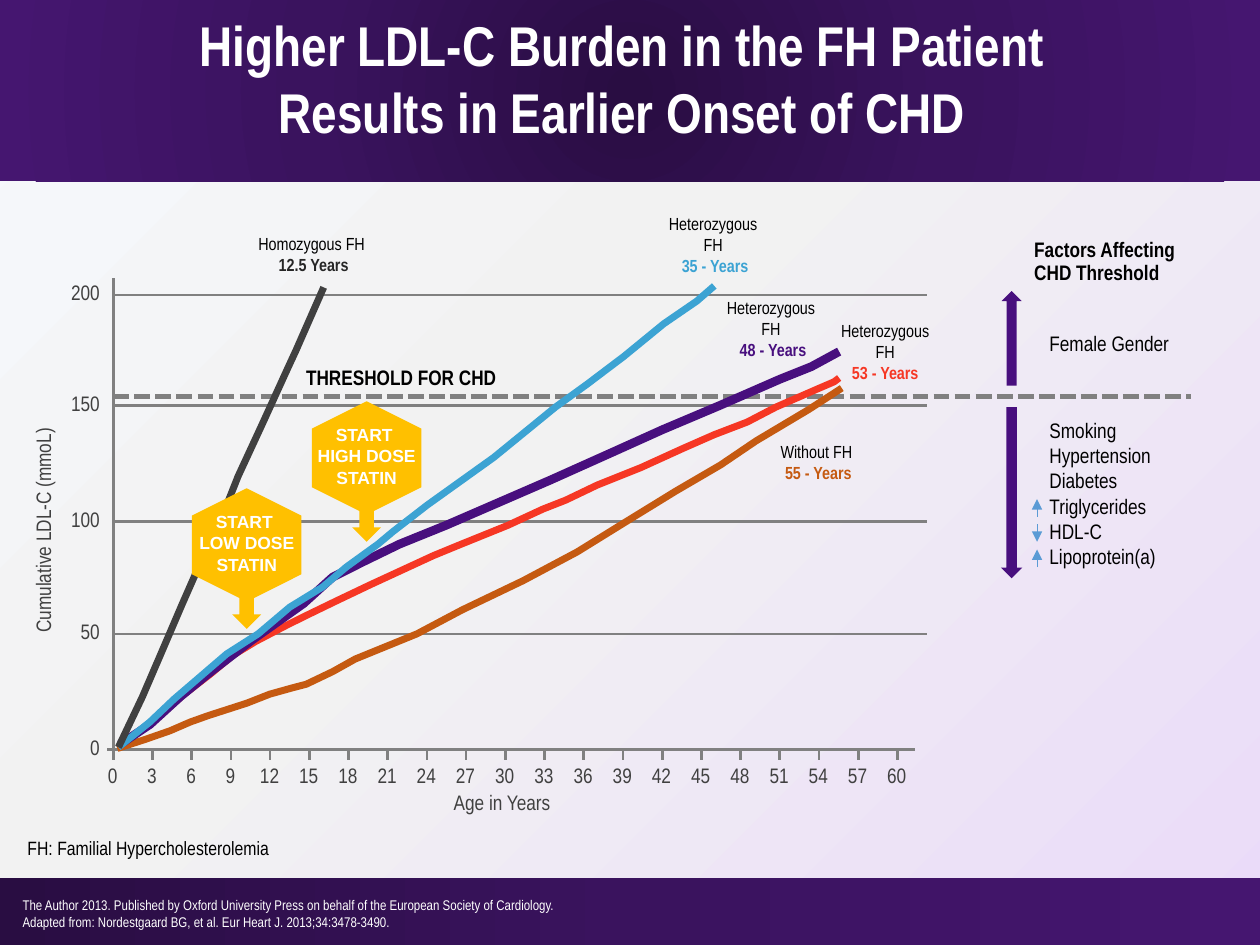
"""Build the slide on cumulative LDL-C burden and the onset of CHD."""
from dataclasses import dataclass
from typing import Any, Optional

from pptx import Presentation
from pptx.dml.color import RGBColor as RGB
from pptx.enum.dml import MSO_LINE as Dash
from pptx.enum.shapes import MSO_CONNECTOR as Link, MSO_SHAPE as Kind
from pptx.enum.text import MSO_ANCHOR as Anchor, PP_ALIGN as Align
from pptx.oxml import parse_xml
from pptx.oxml.ns import nsdecls, qn
from pptx.util import Pt

BLACK, WHITE = RGB(0x00, 0x00, 0x00), RGB(0xFF, 0xFF, 0xFF)
GRAY, DARK, COAL = RGB(0x80, 0x80, 0x80), RGB(0x40, 0x40, 0x40), RGB(0x26, 0x26, 0x26)
PURPLE, ORANGE, RED = RGB(0x48, 0x0F, 0x7E), RGB(0xC5, 0x5A, 0x11), RGB(0xF6, 0x37, 0x24)
BLUE, SKY, GOLD = RGB(0x3C, 0xA3, 0xD3), RGB(0x5B, 0x9B, 0xD5), RGB(0xFF, 0xC0, 0x00)
PALE = {0: RGB(0xF6, 0xF8, 0xFC), 43: RGB(0xF2, 0xF2, 0xF2), 100: RGB(0xEA, 0xDB, 0xF9)}
DEEP = {0: RGB(0x29, 0x0D, 0x42), 50: RGB(0x3A, 0x13, 0x5E), 100: RGB(0x45, 0x16, 0x70)}
ACROSS = '<a:lin {} ang="0" scaled="0"/>'
SLANT = '<a:lin {} ang="2700000" scaled="0"/>'
ROUND = '<a:path {} path="circle"><a:fillToRect l="50000" t="50000" r="50000" b="50000"/></a:path>'

WIDE, HIGH = 720, 540
AXIS_X, AXIS_Y, AGE_STEP, TICK = 64.8, 428.4, 22.4, 5.8
LEVELS = {200: 168.5, 150: 231.8, 100: 298.1, 50: 362.2, 0: AXIS_Y}
LIMIT_Y, LINE_H = 226.4, 21.6
SIDE_X, ARROW_X = 592.6, 578.1
RISKS = ["Smoking", "Hypertension", "Diabetes", "Triglycerides", "HDL-C", "Lipoprotein(a)"]
TRENDS = {"Triglycerides": -1, "HDL-C": 1, "Lipoprotein(a)": -1}


@dataclass
class Bit:
    text: str
    color: RGB = BLACK
    bold: bool = False


@dataclass
class Note:
    x: float
    y: float
    w: float
    h: float
    rows: list[list[Bit]]
    size: float = 12
    align: Any = Align.LEFT
    font: str = "Arial Narrow"
    turn: float = 0
    anchor: Any = Anchor.TOP
    space: Optional[float] = None
    wrap: bool = True


@dataclass
class Rule:
    x1: float
    y1: float
    x2: float
    y2: float
    color: RGB = GRAY
    width: float = 1.5
    dash: Any = None
    head: bool = False


@dataclass
class Block:
    kind: Any
    x: float
    y: float
    w: float
    h: float
    color: RGB = PURPLE
    turn: float = 0


@dataclass
class Onset:
    mid: float
    y: float
    name: str
    age: str
    color: RGB


@dataclass
class Dose:
    mid: float
    y: float
    text: str


ONSETS = [Onset(179.2, 129.6, "Homozygous FH \n", "12.5 Years", COAL),
          Onset(467.6, 248.4, "Without FH \n", "55 - Years", ORANGE),
          Onset(408.6, 118.1, "Heterozygous \nFH \n", "35 - Years", BLUE),
          Onset(441.7, 166.3, "Heterozygous \nFH \n", "48 - Years", PURPLE),
          Onset(505.8, 179.3, "Heterozygous\n FH \n", "53 - Years", RED)]
DOSES = [Dose(141, 280.1, "START \nLOW DOSE STATIN"), Dose(209.5, 230.4, "START \nHIGH DOSE STATIN")]
CURVES = {
    ORANGE: [(67, 427.7), (82.8, 422.6), (97.2, 417.6), (108.7, 412.6), (118.8, 409), (141.1, 401.8),
             (154.1, 396.7), (167, 393.1), (175, 391), (190.1, 383.8), (203, 376.6), (238.3, 362.2),
             (264.2, 348.5), (298.8, 331.9), (329.8, 315.4), (357.8, 298.1), (385.9, 280.8), (411.8, 265.7),
             (432, 252), (462.2, 234), (481, 221.8)],
    RED: [(68.4, 426.2), (86.4, 413.3), (104.4, 397.4), (120.2, 385.2), (133.2, 374.4), (146.2, 366.5),
          (164.2, 357.1), (175.7, 351.4), (192.2, 343.4), (211.7, 334.1), (247.7, 317.5), (263.5, 311),
          (290.2, 300.2), (310.3, 290.9), (323.3, 285.8), (341.3, 277.2), (366.5, 267.1), (390.2, 256.3),
          (408.2, 248.4), (427, 241.2), (443.5, 232.6), (466.6, 222.5), (476.6, 218.2), (479.5, 216)],
    PURPLE: [(68.4, 425.5), (85.7, 414), (103, 398.2), (118.8, 385.2), (144, 365.8), (173.5, 344.9),
             (190.1, 329.8), (207.4, 321.1), (228.2, 311), (254.9, 300.2), (314.6, 274.3), (349.9, 258.5),
             (378.7, 245.5), (411.1, 231.8), (445.7, 216.7), (463.7, 209.5), (479.5, 200.9)],
    BLUE: [(67.7, 427), (85.7, 412.6), (99.4, 399.6), (129.6, 373.7), (147.6, 362.2), (165.6, 347),
           (184.3, 335.5), (198, 324), (216, 311), (224.6, 303.8), (244.1, 288.7), (282.2, 261.4),
           (317.5, 232.6), (335.5, 219.6), (356.4, 203.8), (379.4, 185), (398.2, 172.1), (408.2, 163.4)],
    DARK: [(67.7, 427), (81.4, 398.2), (90.7, 376.6), (103.7, 346.3), (113.8, 323.3), (126.7, 295.9),
           (136.1, 272.2), (149.8, 242.6), (164.2, 211), (169.2, 200.2), (185, 164.2)],
}
NOTES = [
    Note(-1.4, 0, 721.4, 88.6, [[Bit("Higher LDL-C Burden in the FH Patient ", WHITE, True)],
                                [Bit("Results in Earlier Onset of CHD ", WHITE, True)]],
         32, Align.CENTER, anchor=Anchor.MIDDLE),
    Note(5.8, 508.9, 636.5, 26.5, [
        [Bit("The Author 2013. Published by Oxford University Press on behalf of the European Society of Cardiology.", WHITE)],
        [Bit("Adapted from: Nordestgaard BG, et al. Eur Heart J. 2013;34:3478-3490.", WHITE)]], 8),
    Note(213.8, 447.8, 146.2, LINE_H, [[Bit("Age in Years", DARK)]], align=Align.CENTER),
    Note(-65.5, 292.3, 180, LINE_H, [[Bit("Cumulative LDL-C (mmoL)", DARK)]], align=Align.CENTER, turn=270),
    Note(167.8, 204.8, 154, LINE_H, [[Bit("THRESHOLD FOR CHD", bold=True)]]),
    Note(SIDE_X, 185.3, 125, LINE_H, [[Bit("Female Gender")]]),
    Note(SIDE_X, 235, 125, 109.4, [[Bit(risk)] for risk in RISKS]),
    Note(583.9, 132.8, 98.6, 34.6, [[Bit("Factors Affecting", bold=True)], [Bit("CHD Threshold", bold=True)]],
         space=0.93, wrap=False),
    Note(8.6, 474.5, 566, 20.9, [[Bit("FH: Familial Hypercholesterolemia")]], 11),
]


def shade(fill: Any, owner: Any, stops: dict[int, RGB], flow: str) -> None:
    fill.gradient()
    grad = next(owner.iter(qn("a:gradFill")))
    for part in list(grad):
        grad.remove(part)
    marks = "".join(f'<a:gs pos="{at * 1000}"><a:srgbClr val="{hue}"/></a:gs>' for at, hue in stops.items())
    grad.append(parse_xml(f'<a:gsLst {nsdecls("a")}>{marks}</a:gsLst>'))
    grad.append(parse_xml(flow.format(nsdecls("a"))))


def write(slide: Any, note: Note) -> None:
    box = slide.shapes.add_textbox(Pt(note.x), Pt(note.y), Pt(note.w), Pt(note.h))
    box.rotation = note.turn
    frame = box.text_frame
    frame.word_wrap, frame.vertical_anchor = note.wrap, note.anchor
    for i, row in enumerate(note.rows):
        para = frame.add_paragraph() if i else frame.paragraphs[0]
        para.alignment, para.line_spacing = note.align, note.space
        for bit in row:
            for j, line in enumerate(bit.text.split("\n")):
                if j:
                    para.add_line_break()
                if line:
                    run = para.add_run()
                    run.text = line
                    run.font.name, run.font.size, run.font.bold = note.font, Pt(note.size), bit.bold
                    run.font.color.rgb = bit.color


def draw(slide: Any, rule: Rule) -> None:
    link = slide.shapes.add_connector(Link.STRAIGHT, Pt(rule.x1), Pt(rule.y1), Pt(rule.x2), Pt(rule.y2))
    link.line.color.rgb, link.line.width, link.line.dash_style = rule.color, Pt(rule.width), rule.dash
    props = link.element.spPr
    if rule.head:
        props.find(qn("a:ln")).append(parse_xml(f'<a:tailEnd {nsdecls("a")} type="triangle"/>'))
    props.append(parse_xml(f'<a:effectLst {nsdecls("a")}/>'))


def place(slide: Any, block: Block) -> Any:
    shape = slide.shapes.add_shape(block.kind, Pt(block.x), Pt(block.y), Pt(block.w), Pt(block.h))
    shape.shadow.inherit, shape.rotation = False, block.turn
    shape.line.fill.background()
    shape.fill.solid()
    shape.fill.fore_color.rgb = block.color
    return shape


def trace(slide: Any, color: RGB, dots: list[tuple[float, float]]) -> None:
    first, *rest = [(Pt(x), Pt(y)) for x, y in dots]
    pen = slide.shapes.build_freeform(*first)
    pen.add_line_segments(rest, close=False)
    shape = pen.convert_to_shape()
    shape.shadow.inherit = False
    shape.fill.background()
    shape.line.color.rgb, shape.line.width = color, Pt(5 if color == PURPLE else 4)


def add_bands(slide: Any) -> None:
    shade(slide.background.fill, slide.element, PALE, SLANT)
    for y, h, flow in [(501.8, HIGH - 501.8, ACROSS), (0, 103.5, ROUND)]:
        band = place(slide, Block(Kind.RECTANGLE, 0, y, WIDE, h))
        shade(band.fill, band.element, DEEP, flow)


def add_axes(slide: Any) -> None:
    draw(slide, Rule(AXIS_X, LIMIT_Y, 680.4, LIMIT_Y, width=3, dash=Dash.SQUARE_DOT))
    draw(slide, Rule(AXIS_X, 159.1, AXIS_X, AXIS_Y + TICK))
    for level, y in LEVELS.items():
        start, end = (AXIS_X, 530) if level else (AXIS_X - 3.6, 522.7)
        draw(slide, Rule(start, y, end, y))
        write(slide, Note(28.1, y - 12.3, 36, LINE_H, [[Bit(str(level), DARK)]], align=Align.RIGHT))
    for i, age in enumerate(range(0, 61, 3)):
        x = AXIS_X + AGE_STEP * i
        if i:
            draw(slide, Rule(x, AXIS_Y, x, AXIS_Y + TICK))
        write(slide, Note(x - 16.8, AXIS_Y + 4, 32.8, LINE_H, [[Bit(str(age), DARK)]], align=Align.CENTER))


def add_dose(slide: Any, dose: Dose) -> None:
    place(slide, Block(Kind.DOWN_ARROW, dose.mid - 8.3, dose.y + 35.3, 16.6, 43.9, GOLD))
    place(slide, Block(Kind.HEXAGON, dose.mid - 32.4, dose.y, 64.8, 62.6, GOLD, 270))
    write(slide, Note(dose.mid - 37.1, dose.y + 8.6, 74.2, 43.9, [[Bit(dose.text, WHITE, True)]],
                      10, Align.CENTER, "Arial"))


def add_sides(slide: Any) -> None:
    for kind, y, w, h in [(Kind.UP_ARROW, 166.3, 11.5, 54), (Kind.DOWN_ARROW, 232.6, 12.2, 97.9)]:
        place(slide, Block(kind, ARROW_X - w / 2, y, w, h))
    for i, way in enumerate(TRENDS.values()):
        mid = 290.2 + 14.4 * i
        draw(slide, Rule(SIDE_X, mid - 5 * way, SIDE_X, mid + 5 * way, SKY, 0.5, head=True))


def main() -> None:
    deck = Presentation()
    deck.slide_width, deck.slide_height = Pt(WIDE), Pt(HIGH)
    slide = deck.slides.add_slide(deck.slide_layouts[6])
    add_bands(slide)
    add_axes(slide)
    for color, dots in CURVES.items():
        trace(slide, color, dots)
    for dose in DOSES:
        add_dose(slide, dose)
    for tag in ONSETS:
        write(slide, Note(tag.mid - 50, tag.y, 100, 43.9, [[Bit(tag.name), Bit(tag.age, tag.color, True)]],
                          10, Align.CENTER))
    for note in NOTES:
        write(slide, note)
    add_sides(slide)
    deck.save("out.pptx")


if __name__ == "__main__":
    main()
